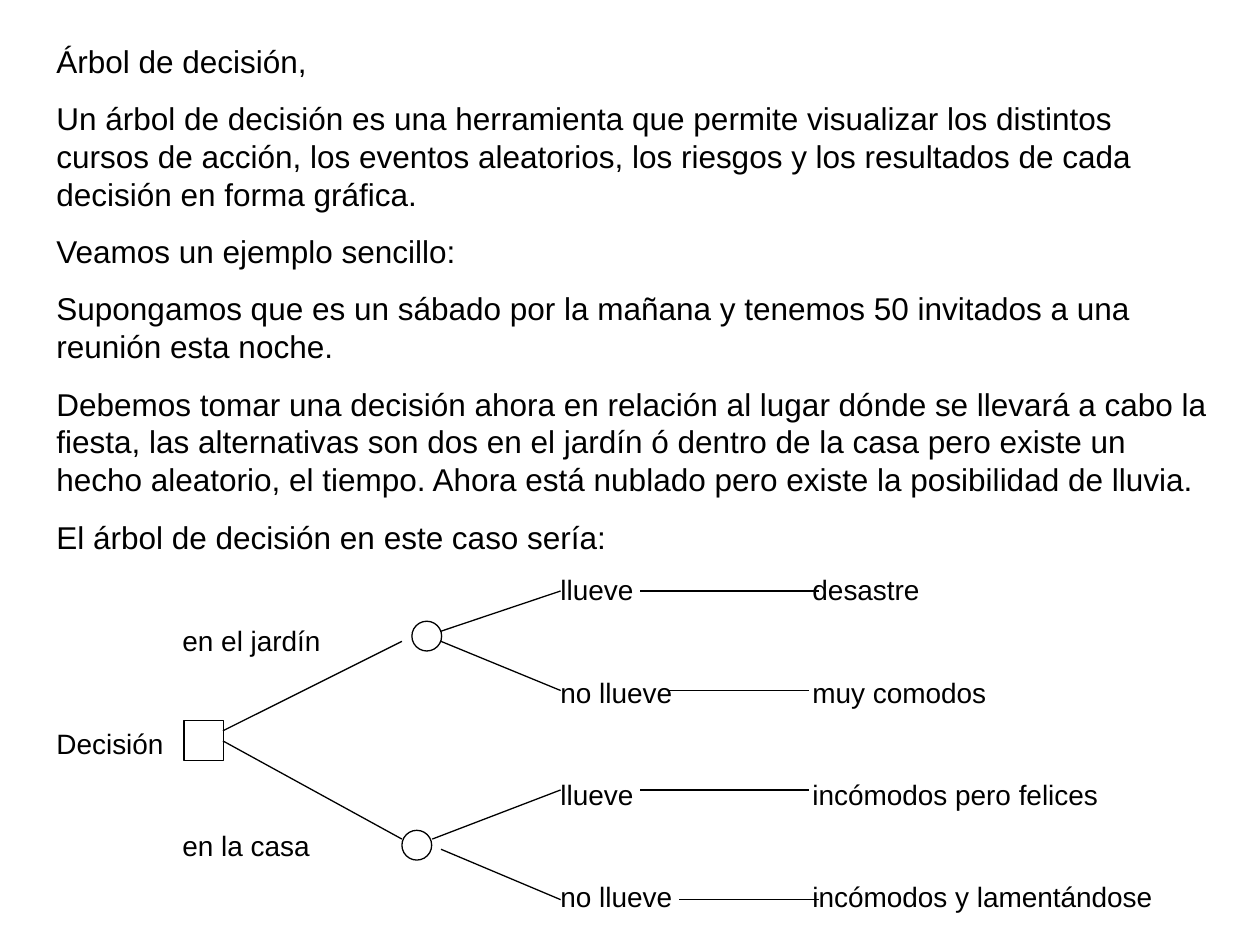
from lxml import etree
from pptx import Presentation
from pptx.dml.color import RGBColor
from pptx.enum.shapes import MSO_CONNECTOR, MSO_SHAPE
from pptx.enum.text import MSO_ANCHOR, PP_ALIGN
from pptx.oxml.ns import qn
from pptx.util import Pt

STRAIGHT = MSO_CONNECTOR.STRAIGHT
DECISION_NODE = MSO_SHAPE.FLOWCHART_PROCESS
CHANCE_NODE = MSO_SHAPE.FLOWCHART_CONNECTOR
LEFT = PP_ALIGN.LEFT
TOP = MSO_ANCHOR.TOP

BLACK = "000000"
FONT = "Arial"
LINE_WIDTH = 0.75
TAB_STEP, TAB_COUNT = 72, 7

EXPLANATION = [
    "Árbol de decisión,",
    "Un árbol de decisión es una herramienta que permite visualizar los distintos "
    "cursos de acción, los eventos aleatorios, los riesgos y los resultados de cada "
    "decisión en forma gráfica.",
    "Veamos un ejemplo sencillo:",
    "Supongamos que es un sábado por la mañana y tenemos 50 invitados a una "
    "reunión esta noche.",
    "Debemos tomar una decisión ahora en relación al lugar dónde se llevará a cabo "
    "la fiesta, las alternativas son dos en el jardín ó dentro de la casa pero existe "
    "un hecho aleatorio, el tiempo. Ahora está nublado pero existe la posibilidad de "
    "lluvia.",
    "El árbol de decisión en este caso sería:",
]
TREE_LABELS = [
    "\t\t\t\tllueve\t\tdesastre",
    "\ten el jardín\t",
    "\t\t\t\tno llueve\t\tmuy comodos",
    "Decisión",
    "\t\t\t\tllueve\t\tincómodos pero felices",
    "\ten la casa",
    "\t\t\t\tno llueve\t\tincómodos y lamentándose",
]

# Nodes: preset, left, top, side
NODES = [
    (DECISION_NODE, 105.1, 411.8, 22.6),
    (CHANCE_NODE, 235.4, 355, 17),
    (CHANCE_NODE, 229.7, 474.5, 17),
]
# Branches: start x, start y, end x, end y
BRANCHES = [
    (127.4, 417.6, 229.7, 366.5),
    (127.4, 423.4, 229.7, 479.5),
    (252, 360.7, 320.4, 337.7),
    (252, 366.5, 320.4, 394.6),
    (247, 479.5, 320.4, 451.4),
    (252, 485.3, 320.4, 514.1),
]
# Links from event to result: start x, end x, y
RESULT_LINKS = [
    (365.8, 468, 337.7),
    (382.3, 462.2, 394.6),
    (365.8, 462.2, 451.4),
    (388.1, 468, 514.1),
]


def color(hex_value):
    return RGBColor.from_string(hex_value)


def style_line(line):
    line.color.rgb = color(BLACK)
    line.width = Pt(LINE_WIDTH)


def add_tab_stops(paragraph):
    tab_list = etree.SubElement(paragraph._p.get_or_add_pPr(), qn("a:tabLst"))
    for number in range(1, TAB_COUNT + 1):
        etree.SubElement(tab_list, qn("a:tab"),
                         pos=str(Pt(TAB_STEP * number)), algn="l")


def add_paragraph(frame, text, *, size, space_before, first=False):
    paragraph = frame.paragraphs[0] if first else frame.add_paragraph()
    paragraph.alignment = LEFT
    paragraph.space_before = Pt(0 if first else space_before)
    add_tab_stops(paragraph)
    run = paragraph.add_run()
    run.text = text
    run.font.name = FONT
    run.font.size = Pt(size)
    run.font.color.rgb = color(BLACK)


def add_node(slide, preset, left, top, side):
    node = slide.shapes.add_shape(preset, Pt(left), Pt(top), Pt(side), Pt(side))
    node.shadow.inherit = False
    node.fill.background()
    style_line(node.line)


def add_branch(slide, x1, y1, x2, y2):
    branch = slide.shapes.add_connector(STRAIGHT, Pt(x1), Pt(y1), Pt(x2), Pt(y2))
    style_line(branch.line)
    etree.SubElement(branch._element.spPr, qn("a:effectLst"))


def main():
    deck = Presentation()
    deck.slide_width, deck.slide_height = Pt(720), Pt(540)
    slide = deck.slides.add_slide(deck.slide_layouts[6])

    # Explanation and the labels of the tree
    body = slide.shapes.add_textbox(Pt(25.2), Pt(20.2), Pt(674.6), Pt(505.4)).text_frame
    body.word_wrap = True
    body.vertical_anchor = TOP
    for index, text in enumerate(EXPLANATION):
        add_paragraph(body, text, size=18, space_before=11.2, first=index == 0)
    for text in TREE_LABELS:
        add_paragraph(body, text, size=16, space_before=10)

    # Decision tree
    for node in NODES:
        add_node(slide, *node)
    for branch in BRANCHES:
        add_branch(slide, *branch)
    for start, end, y in RESULT_LINKS:
        add_branch(slide, start, y, end, y)

    deck.save("out.pptx")


if __name__ == "__main__":
    main()
